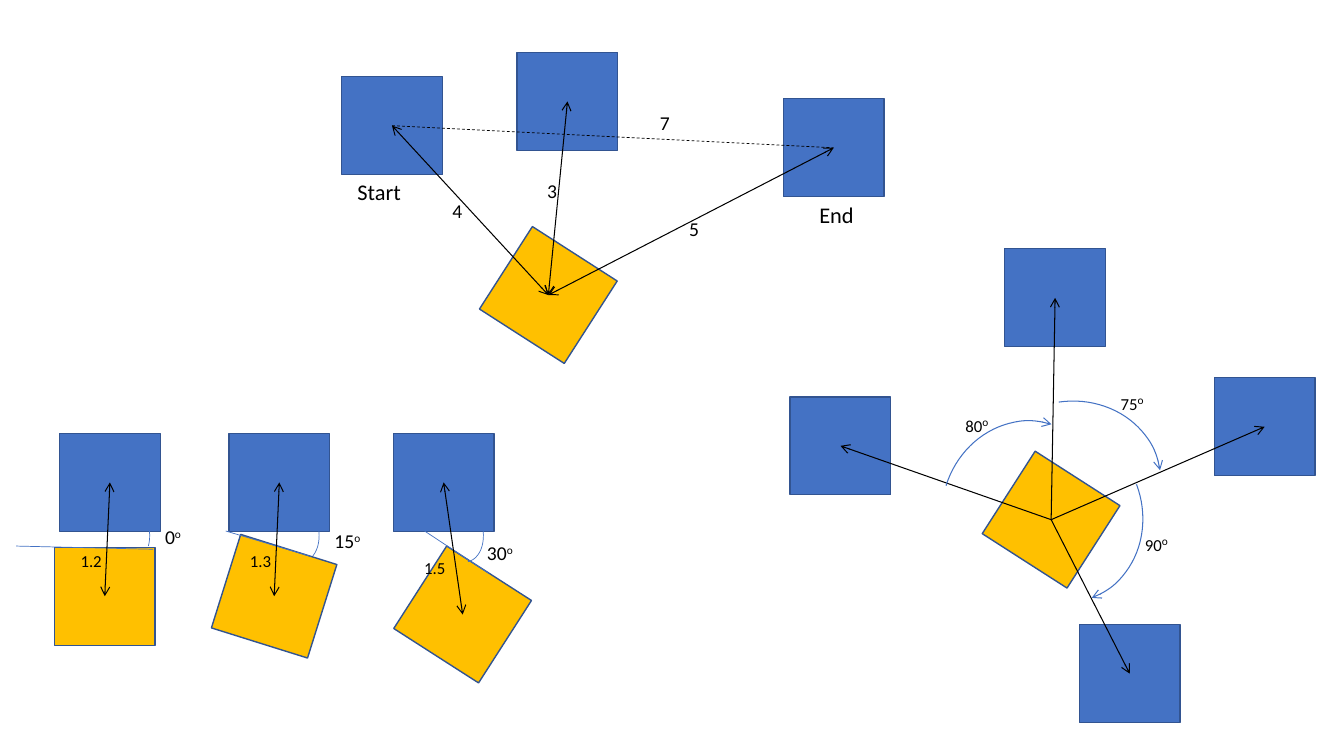
import pptx
import pptx.util
import pptx.dml.color
import pptx.enum.dml
import pptx.enum.shapes
import pptx.enum.text
import pptx.oxml
import pptx.oxml.ns

Cm = pptx.util.Cm
Pt = pptx.util.Pt
RGB = pptx.dml.color.RGBColor
SHAPE = pptx.enum.shapes.MSO_SHAPE

BLUE = RGB(0x44, 0x72, 0xC4)
GOLD = RGB(0xFF, 0xC0, 0x00)
EDGE = RGB(0x32, 0x54, 0x91)
BLACK = RGB(0, 0, 0)
WIDE, HIGH = 2.54, 2.47
TILT = 32.7


def style(line, color, width, ends=(), dash=None):
    """Set the colour, width, dash and arrowheads of a line."""
    line.color.rgb = color
    line.width = Pt(width)
    if dash:
        line.dash_style = dash
    for end in ends:
        tip = pptx.oxml.ns.qn(f"a:{end}End")
        line._get_or_add_ln().makeelement(tip)
        node = pptx.oxml.parse_xml(
            f'<a:{end}End {pptx.oxml.ns.nsdecls("a")} type="arrow"/>')
        line._get_or_add_ln().append(node)


def square(slide, x, y, fill=BLUE, turn=0):
    """Draw a square and return its centre."""
    shape = slide.shapes.add_shape(
        SHAPE.RECTANGLE, Cm(x), Cm(y), Cm(WIDE), Cm(HIGH))
    shape.shadow.inherit = False
    shape.fill.solid()
    shape.fill.fore_color.rgb = fill
    shape.rotation = turn
    style(shape.line, EDGE, 1)
    return x + WIDE / 2, y + HIGH / 2


def link(slide, start, end, color=BLACK, width=0.75, ends=(), dash=None):
    """Draw a straight line between two points."""
    line = slide.shapes.add_connector(
        pptx.enum.shapes.MSO_CONNECTOR.STRAIGHT,
        Cm(start[0]), Cm(start[1]), Cm(end[0]), Cm(end[1]))
    style(line.line, color, width, ends, dash)
    line._element.spPr.append(pptx.oxml.parse_xml(
        f'<a:effectLst {pptx.oxml.ns.nsdecls("a")}/>'))


def curve(slide, x, y, w, h, turn, width, stop=0, ends=()):
    """Draw an arc from the top of its oval to the stop angle."""
    arc = slide.shapes.add_shape(SHAPE.ARC, Cm(x), Cm(y), Cm(w), Cm(h))
    arc.shadow.inherit = False
    arc.fill.background()
    arc.rotation = turn
    arc.adjustments[0] = 162
    arc.adjustments[1] = stop
    style(arc.line, BLUE, width, ends)


def label(slide, text, x, y, w=0.74, h=0.86, size=14, degree=False):
    """Write a text, with a raised degree mark if asked."""
    box = slide.shapes.add_textbox(Cm(x), Cm(y), Cm(w), Cm(h))
    frame = box.text_frame
    frame.word_wrap = True
    frame.auto_size = pptx.enum.text.MSO_AUTO_SIZE.SHAPE_TO_FIT_TEXT
    parts = [(text, size)] + ([("o", 14)] if degree else [])
    for part, points in parts:
        run = frame.paragraphs[0].add_run()
        run.text = part
        run.font.name = "Calibri"
        run.font.size = Pt(points)
        run.font.color.rgb = BLACK
    if degree:
        run._r.get_or_add_rPr().set("baseline", "30000")


def route(slide, x, y):
    """Draw the start, middle and end squares with their distances."""
    hub = square(slide, x + 3.94, y + 4.88, GOLD, TILT)
    spots = [square(slide, x + dx, y + dy)
             for dx, dy in ((0, 0.61), (4.42, 0), (11.13, 1.17))]
    for spot in spots:
        link(slide, spot, hub, ends=("head", "tail"))
    link(slide, spots[0], spots[2], width=0.5,
         dash=pptx.enum.dml.MSO_LINE.DASH)
    for text, dx, dy in (("4", 2.54, 3.58), ("3", 4.93, 3.07),
                         ("5", 8.51, 4.01), ("7", 7.77, 1.35)):
        label(slide, text, x + dx, y + dy)
    for text, dx, dy in (("Start", 0.15, 3.05), ("End", 11.79, 3.63)):
        label(slide, text, x + dx, y + dy, 2.06, 0.94, 16)


def turned(slide, x, y, gold, turn, edge, stop, angle, mark, gap, note):
    """Draw a blue square above a gold one turned by an angle."""
    top = square(slide, x, y)
    low = square(slide, x + gold[0], y + gold[1], GOLD, turn)
    x1, y1, x2, y2 = edge
    link(slide, (x + x1, y + y1), (x + x2, y + y2), BLUE, 0.5)
    curve(slide, x + 0.94, y + 1.93, 1.57, 1.07, 78.3, 0.5, stop)
    label(slide, angle, x + mark[0], y + mark[1], 1.42, degree=True)
    link(slide, top, low, ends=("head", "tail"))
    label(slide, gap, x + note[0], y + note[1], 1.2, 0.76, 12)


def fan(slide, x, y):
    """Draw four squares around a gold one with the angles between them."""
    hub = square(slide, x + 5.31, y + 5.59, GOLD, TILT)
    spots = [square(slide, x + dx, y + dy) for dx, dy in
             ((0, 3.73), (5.41, 0), (10.69, 3.25), (7.29, 9.47))]
    for spot in spots:
        link(slide, hub, spot, ends=("tail",))
    for dx, dy, turn, text, tx, ty in (
            (3.63, 4.52, 287.5, "80", 4.17, 4.01),
            (4.8, 3.84, 351.6, "75", 8.08, 3.45),
            (4.52, 4.6, 69.2, "90", 8.69, 7.01)):
        curve(slide, x + dx, y + dy, 4.55, 4.14, turn, 0.75, ends=("tail",))
        label(slide, text, x + tx, y + ty, 1.24, size=12, degree=True)


def main():
    """Build the slide and save it."""
    deck = pptx.Presentation()
    deck.slide_width, deck.slide_height = Cm(33.87), Cm(19.05)
    slide = deck.slides.add_slide(deck.slide_layouts[6])
    route(slide, 8.61, 1.32)
    fan(slide, 19.91, 6.27)
    turned(slide, 1.5, 10.92, (-0.13, 2.87), 0, (2.36, 2.92, -1.09, 2.84),
           190.67, "0", (2.41, 2.18), "1.2", (0.28, 2.84))
    turned(slide, 5.77, 10.92, (-0.13, 2.87), 17.4, (2.06, 3.1, -0.08, 2.46),
           203.9, "15", (2.41, 2.29), "1.3", (0.28, 2.84))
    turned(slide, 9.91, 10.92, (0.48, 3.33), TILT, (2.41, 3.53, 0.79, 2.46),
           0, "30", (2.11, 2.59), "1.5", (0.53, 3))
    deck.save("out.pptx")


if __name__ == "__main__":
    main()
